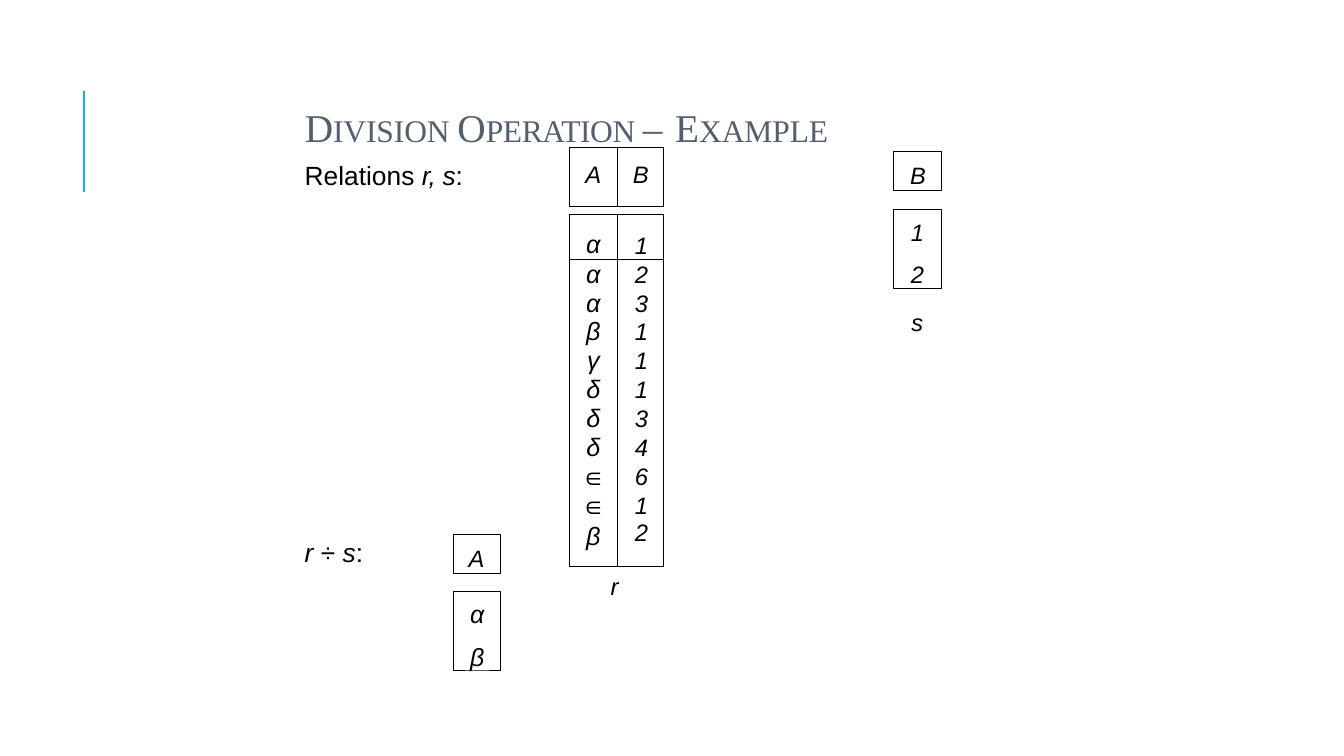
from dataclasses import dataclass
from typing import Optional

from lxml.etree import SubElement
from pptx import Presentation
from pptx.dml.color import RGBColor
from pptx.enum.shapes import MSO_CONNECTOR as Connector, MSO_SHAPE as Shape
from pptx.enum.text import MSO_ANCHOR as Anchor, MSO_AUTO_SIZE as AutoSize, PP_ALIGN as Align
from pptx.oxml.ns import qn
from pptx.util import Cm, Pt


@dataclass(frozen=True)
class Theme:
    """Colours, fonts and type sizes of the slide."""
    ink: RGBColor = RGBColor(0, 0, 0)
    heading: RGBColor = RGBColor(0x53, 0x5E, 0x6F)
    accent: RGBColor = RGBColor(0x1C, 0xAD, 0xE4)
    paper: RGBColor = RGBColor(255, 255, 255)
    heading_font: str = "Times New Roman"
    body_font: str = "Arial"
    capital: float = 28.1
    small_capital: float = 22.5
    label: float = 18.8
    boxed: float = 16.9
    boxed_greek: float = 17.8
    cell: float = 17
    cell_greek: float = 18
    rule: float = 0.75
    plain_table: str = "{2D5ABB26-0587-4C30-8999-92F81FD0307C}"


THEME = Theme()


@dataclass(frozen=True)
class Run:
    """A stretch of text with one format."""
    text: str
    size: float
    italic: bool = True
    spacing: float = 0
    font: str = THEME.body_font
    color: RGBColor = THEME.ink


@dataclass(frozen=True)
class Para:
    """A paragraph and its spacing in points and indent in centimetres."""
    runs: tuple[Run, ...]
    before: float = 0
    indent: float = 0
    align: Align = Align.LEFT
    leading: Optional[float] = None


@dataclass(frozen=True)
class Block:
    """A placed piece of text, framed or not, in centimetres."""
    left: float
    top: float
    width: float
    height: float
    paras: tuple[Para, ...]
    inset: float = 0.03
    framed: bool = False


def write(frame, paras: tuple[Para, ...]) -> None:
    """Fill a text frame run by run."""
    for index, para in enumerate(paras):
        line = frame.add_paragraph() if index else frame.paragraphs[0]
        line.alignment = para.align
        line.space_before = Pt(para.before)
        if para.leading:
            line.line_spacing = Pt(para.leading)
        properties = line._p.get_or_add_pPr()
        properties.set("marL", str(Cm(para.indent)))
        properties.set("indent", "0")
        for part in para.runs:
            run = line.add_run()
            run.text = part.text
            run.font.size = Pt(part.size)
            run.font.name = part.font
            run.font.italic = part.italic
            run.font.bold = False
            run.font.color.rgb = part.color
            if part.spacing:
                run._r.get_or_add_rPr().set("spc", str(round(part.spacing * 100)))


def set_frame(frame, inset: float, anchor: Anchor = Anchor.TOP) -> None:
    """Wrap a text frame and set its margins."""
    frame.word_wrap = True
    frame.auto_size = AutoSize.SHAPE_TO_FIT_TEXT
    frame.vertical_anchor = anchor
    frame.margin_left = frame.margin_right = frame.margin_bottom = 0
    frame.margin_top = Cm(inset)


def draw_block(slide, block: Block) -> None:
    """Draw a label or a framed relation part."""
    place = [Cm(v) for v in (block.left, block.top, block.width, block.height)]
    if block.framed:
        holder = slide.shapes.add_shape(Shape.RECTANGLE, *place)
        holder.shadow.inherit = False
        holder.fill.background()
        holder.line.color.rgb = THEME.ink
        holder.line.width = Pt(0.72)
    else:
        holder = slide.shapes.add_textbox(*place)
    set_frame(holder.text_frame, block.inset)
    write(holder.text_frame, block.paras)


def draw_title(slide) -> None:
    """Set the heading in small capitals."""
    title = slide.shapes.title
    title.left, title.top, title.width, title.height = Cm(7.65), Cm(2.57), Cm(13.41), Cm(1.24)
    big, small = THEME.capital, THEME.small_capital
    pieces = (("D", big, -0.1), ("IVISION ", small, -0.1), ("O", big, -0.3), ("PERATION ", small, -0.3),
              ("– ", big, 1), ("E", big, -0.1), ("XAMPLE", small, -0.1))
    runs = tuple(Run(text, size, False, spacing, THEME.heading_font, THEME.heading)
                 for text, size, spacing in pieces)
    set_frame(title.text_frame, 0.03, Anchor.MIDDLE)
    write(title.text_frame, (Para(runs, 0.9, 0.03),))


def draw_accent(slide) -> None:
    """Draw the upright line beside the heading."""
    accent = slide.shapes.add_connector(Connector.STRAIGHT, Cm(2.11), Cm(4.83), Cm(2.11), Cm(2.29))
    accent.line.color.rgb = THEME.accent
    accent.line.width = Pt(1.5)
    SubElement(accent._element.spPr, qn("a:effectLst"))


def draw_backing(slide) -> None:
    """Lay the white patch behind the B heading."""
    backing = slide.shapes.add_shape(Shape.RECTANGLE, Cm(15.54), Cm(3.71), Cm(1.19), Cm(1.47))
    backing.shadow.inherit = False
    backing.fill.solid()
    backing.fill.fore_color.rgb = THEME.paper
    backing.line.fill.background()


def set_cell(cell, sides: str, para: Optional[Para] = None, inset: float = 0) -> None:
    """Give a cell its borders, margins and text."""
    cell.margin_left = cell.margin_right = cell.margin_bottom = 0
    cell.margin_top = Cm(inset)
    properties = cell._tc.get_or_add_tcPr()
    for side in sides:
        border = SubElement(properties, qn(f"a:ln{side}"), w=str(Pt(THEME.rule)))
        SubElement(SubElement(border, qn("a:solidFill")), qn("a:srgbClr"), val=str(THEME.ink))
    cell.fill.background()
    if para:
        write(cell.text_frame, (para,))
    else:
        SubElement(cell.text_frame.paragraphs[0]._p, qn("a:endParaRPr"), sz="100")


def draw_relation_r(slide) -> None:
    """Build relation r as a table with its caption row."""
    tuples = tuple(zip("αααβγδδδ∈∈β", "12311134612"))
    widths = (0.91, 0.31, 1.15)
    heights = (1.48, 0.22, 1.11, *[0.73] * 9, 1.16, 0.86)
    table = slide.shapes.add_table(len(heights), len(widths), Cm(14.35), Cm(3.71),
                                   Cm(sum(widths)), Cm(sum(heights))).table
    table.first_row = table.horz_banding = False
    table._tbl.tblPr.find(qn("a:tableStyleId")).text = THEME.plain_table
    for column, width in zip(table.columns, widths):
        column.width = Cm(width)
    for row, height in zip(table.rows, heights):
        row.height = Cm(height)

    def value(text: str, **layout) -> Para:
        return Para((Run(text, THEME.cell),), **layout)

    def fill_row(row: int, edges: str, a: Para, b: Para, a_inset: float = 0, b_inset: float = 0) -> None:
        set_cell(table.cell(row, 0), "L" + edges, a, a_inset)
        set_cell(table.cell(row, 1), "R" + edges)
        set_cell(table.cell(row, 2), "LR" + edges, b, b_inset)

    fill_row(0, "TB", value("A", before=11.2, indent=0.3, align=Align.CENTER),
             value("B", before=11.2, indent=0.38), 0.38, 0.38)
    last = len(tuples) - 1
    for index, (a, b) in enumerate(tuples):
        first = index == 0
        greek = Para((Run(a, THEME.cell_greek),), 11 if first else 0, 0.3, Align.CENTER,
                     21.4 if first else 22.1 if index == last else 20.6)
        number = value(b, before=12 if first else 0.2, indent=0.43,
                       leading=None if index == last else 20.4)
        edges = "TB" if first else "B" if index == last else ""
        fill_row(index + 2, edges, greek, number, 0.36 if first else 0, 0.41 if first else 0)
    for column in range(3):
        set_cell(table.cell(1, column), "")
    caption = value("r", before=4.2, indent=0.13, leading=20.8)
    for column, para in enumerate((None, caption, None)):
        set_cell(table.cell(13, column), "", para, 0.13)


def main() -> None:
    """Build the division example slide."""
    label, boxed, greek = THEME.label, THEME.boxed, THEME.boxed_greek
    relations = (Run("Relations ", label, False), Run("r, ", label, spacing=-0.5),
                 Run("s", label), Run(":", label, False))
    quotient = (Run("r ", label), Run("÷ ", label, False), Run("s", label), Run(":", label, False))
    blocks = (
        Block(7.65, 3.99, 4.06, 0.84, (Para(relations, 0.9, 0.03),)),
        Block(7.65, 13.49, 1.52, 0.84, (Para(quotient, 1, 0.03),)),
        Block(11.43, 13.46, 1.19, 0.99, (Para((Run("A", boxed),), 7.5, 0.38),), 0.25, True),
        Block(22.53, 3.81, 1.19, 0.99, (Para((Run("B", boxed),), 7.5, 0.41),), 0.25, True),
        Block(11.43, 14.91, 1.19, 2, (Para((Run("α", greek, spacing=-0.6),), 4.7, align=Align.CENTER),
                                      Para((Run("β", greek, spacing=-0.5),), 9, align=Align.CENTER)), 0.18, True),
        Block(22.53, 5.28, 1.19, 2, (Para((Run("1", boxed, spacing=-0.1),), 5.7, align=Align.CENTER),
                                     Para((Run("2", boxed, spacing=-0.1),), 10.1, align=Align.CENTER)), 0.2, True),
        Block(22.94, 7.72, 0.36, 0.76, (Para((Run("s", boxed),), 0.9, 0.03),)),
    )
    deck = Presentation()
    deck.slide_width, deck.slide_height = Cm(33.87), Cm(19.05)
    slide = deck.slides.add_slide(deck.slide_layouts[5])
    draw_accent(slide)
    draw_title(slide)
    for block in blocks:
        draw_block(slide, block)
    draw_backing(slide)
    draw_relation_r(slide)
    deck.save("out.pptx")


if __name__ == "__main__":
    main()
